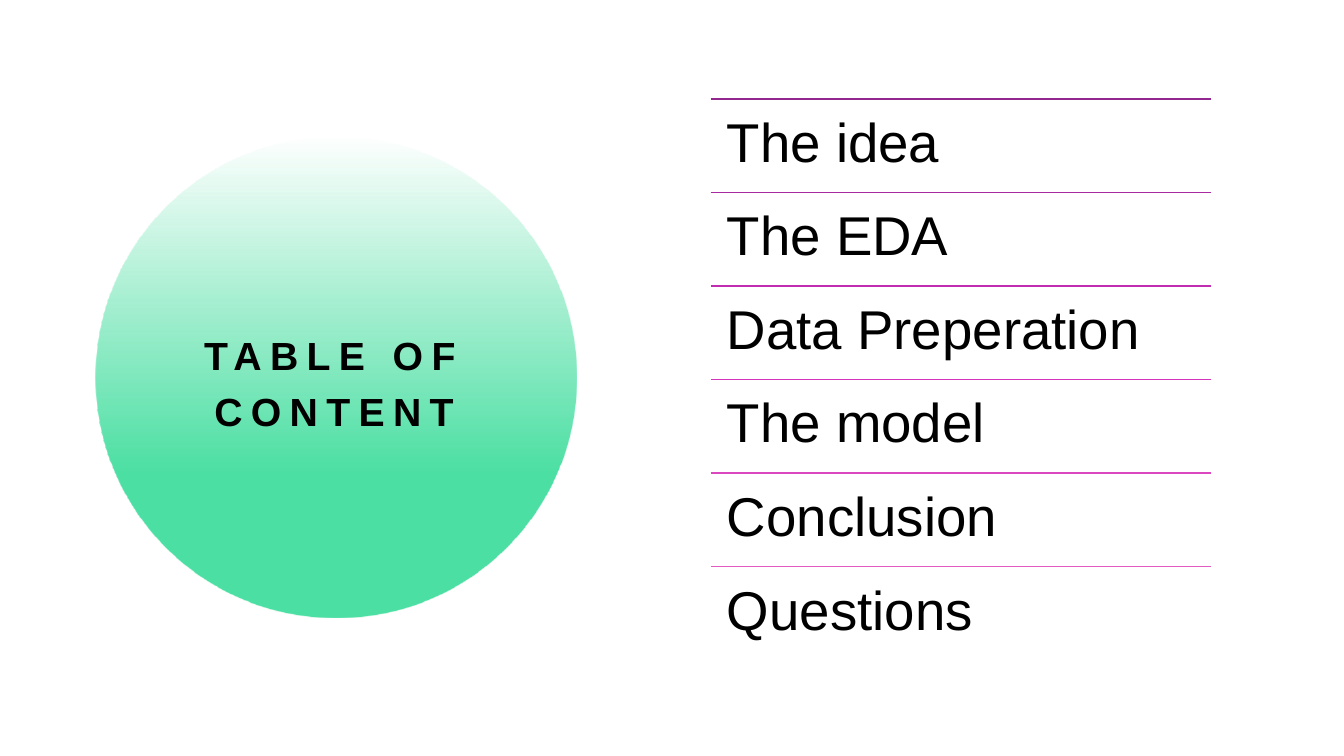
import pptx
import pptx.util
import pptx.dml.color
import pptx.enum.shapes
import pptx.enum.text
import pptx.oxml.ns
import lxml.etree

Pt = pptx.util.Pt
Anchor = pptx.enum.text.MSO_ANCHOR
Align = pptx.enum.text.PP_ALIGN


def colour(value):
    return pptx.dml.color.RGBColor.from_string(value)


def apply(target, values):
    for name, value in values.items():
        setattr(target, name, value)


class ContentsSlide:
    """Draws the parts of a contents slide in one shared style."""

    ink = "000000"
    accent = "4CDFA3"
    font = "Arial"

    def __init__(self, deck):
        self.slide = deck.slides.add_slide(deck.slide_layouts[6])
        self.slide.background.fill.solid()
        self.slide.background.fill.fore_color.rgb = colour("FFFFFF")

    def fading_disc(self, left, top, size, solid_from):
        disc = self.slide.shapes.add_shape(
            pptx.enum.shapes.MSO_SHAPE.OVAL, Pt(left), Pt(top), Pt(size), Pt(size))
        disc.shadow.inherit = False
        disc.line.fill.background()
        disc.fill.gradient()
        disc.fill.gradient_angle = 270
        for stop, position in zip(disc.fill.gradient_stops, (0, solid_from)):
            apply(stop, {"position": position})
            stop.color.rgb = colour(self.accent)
        clear_end = disc._element.spPr.find(".//" + pptx.oxml.ns.qn("a:srgbClr"))
        lxml.etree.SubElement(clear_end, pptx.oxml.ns.qn("a:alpha"), val="0")

    def rule(self, left, top, width, shade):
        line = self.slide.shapes.add_connector(
            pptx.enum.shapes.MSO_CONNECTOR.STRAIGHT,
            Pt(left), Pt(top), Pt(left + width), Pt(top))
        line.line.color.rgb = colour(shade)
        line.line.width = Pt(1)
        lxml.etree.SubElement(line._element.spPr, pptx.oxml.ns.qn("a:effectLst"))

    def text(self, words, box, size, frame, paragraph, bold=False, tracking=0):
        holder = self.slide.shapes.add_textbox(*map(Pt, box)).text_frame
        apply(holder, {"word_wrap": True, **frame})
        line = holder.paragraphs[0]
        apply(line, paragraph)
        run = line.add_run()
        run.text = words
        apply(run.font, {"name": self.font, "size": Pt(size), "bold": bold})
        run.font.color.rgb = colour(self.ink)
        if tracking:
            run._r.get_or_add_rPr().set("spc", str(tracking * 100))


def main():
    deck = pptx.Presentation()
    apply(deck, {"slide_width": Pt(960), "slide_height": Pt(540)})
    contents = ContentsSlide(deck)

    contents.fading_disc(68.4, 97.8, 343.4, solid_from=0.7)
    contents.text(
        "TABLE OF CONTENT", (95, 180, 287.3, 180), 28,
        {"vertical_anchor": Anchor.MIDDLE},
        {"alignment": Align.CENTER, "line_spacing": 1.2},
        bold=True, tracking=6)

    topics = {
        "The idea": "92278F",
        "The EDA": "A92AA0",
        "Data Preperation": "C12DB0",
        "The model": "D334BB",
        "Conclusion": "DA47BE",
        "Questions": "E15BC1",
    }
    left, first_top, width, pitch = 507.6, 70.6, 357.1, 66.8
    sides = ("left", "top", "right", "bottom")
    padding = {f"margin_{side}": Pt(11.7) for side in sides}
    for index, (topic, shade) in enumerate(topics.items()):
        top = first_top + index * pitch
        contents.rule(left, top, width, shade)
        contents.text(
            topic, (left, top, width, pitch), 39,
            {"vertical_anchor": Anchor.TOP, **padding},
            {"alignment": Align.LEFT, "line_spacing": 0.9})

    deck.save("out.pptx")


if __name__ == "__main__":
    main()
